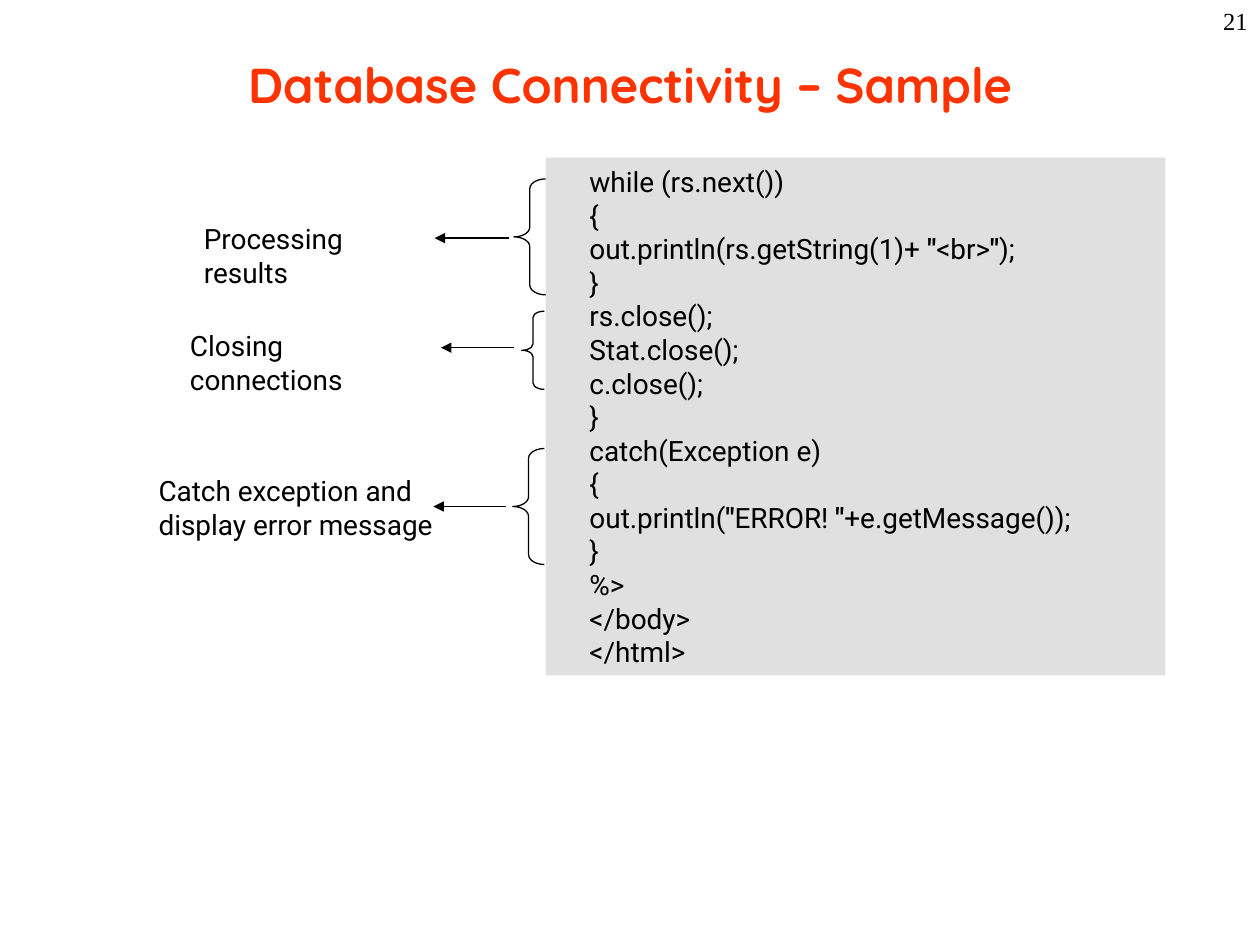
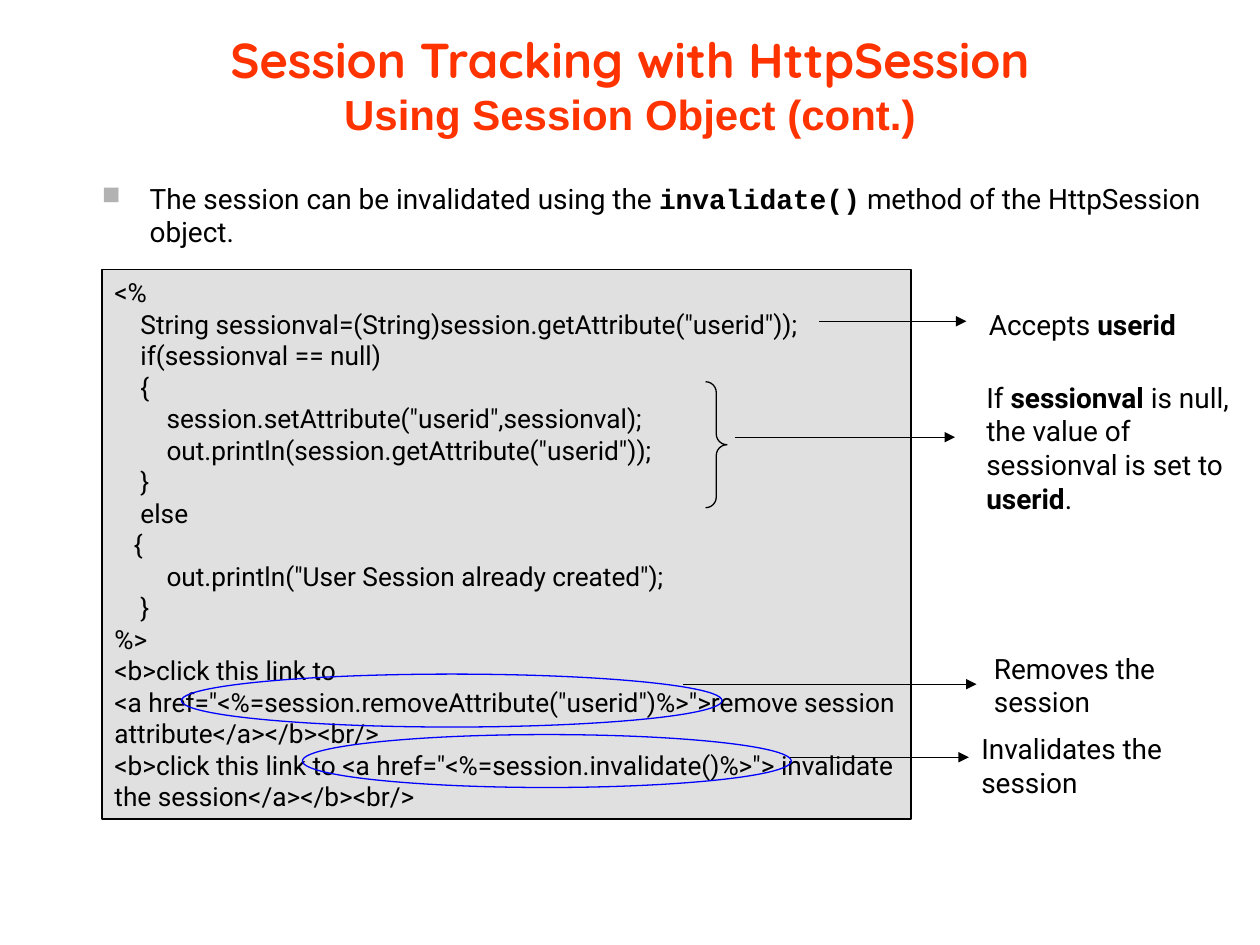
from lxml.etree import SubElement
from pptx import Presentation
from pptx.dml.color import RGBColor
from pptx.enum.shapes import MSO_CONNECTOR, MSO_SHAPE
from pptx.enum.text import MSO_ANCHOR, MSO_AUTO_SIZE, PP_ALIGN
from pptx.oxml.ns import qn
from pptx.util import Inches, Pt

TITLE_COLOR = "FF3300"
TEXT_COLOR = "000000"
CODE_FILL = "E0E0E0"
ELLIPSE_COLOR = "0000FF"
BULLET_COLOR = "B2B2B2"
BODY_FONT = "Roboto"


def color(hex_string):
    return RGBColor.from_string(hex_string)


def write_lines(text_frame, lines, size=16, font=BODY_FONT):
    text_frame.word_wrap = True
    for index, line in enumerate(lines):
        paragraph = text_frame.add_paragraph() if index else text_frame.paragraphs[0]
        paragraph.alignment = PP_ALIGN.LEFT
        paragraph.font.size = Pt(size)
        paragraph.font.name = font
        paragraph.font.color.rgb = color(TEXT_COLOR)
        for position, part in enumerate(line.split("**")):
            if part:
                run = paragraph.add_run()
                run.text = part
                if position % 2:
                    run.font.bold = True


presentation = Presentation()
presentation.slide_width = Inches(10)
presentation.slide_height = Inches(7.5)

database_code = """while (rs.next())
{
out.println(rs.getString(1)+** "**<br>**"**);
}
rs.close();
Stat.close();
c.close();
}
catch(Exception e)
{
out.println(**"**ERROR! **"**+e.getMessage());
}
%>
</body>
</html>"""

session_code = """<%
    String sessionval=(String)session.getAttribute("userid"));
    if(sessionval == null)
    {
        session.setAttribute("userid",sessionval);
        out.println(session.getAttribute("userid"));
    }
    else
   {
        out.println("User Session already created");
    }
%>
<b>click this link to
<a href="<%=session.removeAttribute("userid")%>">remove session attribute</a></b><br/>
<b>click this link to <a href="<%=session.invalidate()%>"> invalidate the session</a></b><br/>"""

slide_contents = [
    {
        "title": [("Database Connectivity – Sample", "Quicksand", 28)],
        "code": (database_code, 16, (4.33, 1.25, 4.92, 4.11)),
        "marks": [
            (MSO_SHAPE.LEFT_BRACE, (4.08, 1.42, 0.25, 0.92), 0.31),
            (MSO_SHAPE.LEFT_BRACE, (4.14, 2.47, 0.18, 0.62), 0.28),
            (MSO_SHAPE.LEFT_BRACE, (4.07, 3.56, 0.25, 0.92), 0.31),
        ],
        "arrows": [(4.04, 3.45, 1.89), (4.08, 3.5, 2.76), (4.02, 3.44, 4.02)],
        "labels": [
            ("Processing results", (1.52, 1.71, 2, 0.37)),
            ("Closing connections", (1.41, 2.56, 2.17, 0.37)),
            ("Catch exception and display error message", (1.16, 3.71, 2.58, 0.64)),
        ],
    },
    {
        "title": [
            ("Session Tracking with HttpSession", "Quicksand", 28),
            ("Using Session Object (cont.)", "Arial", 24),
        ],
        "code": (session_code, 15, (0.81, 2.14, 6.42, 4.36)),
        "marks": [
            (MSO_SHAPE.RIGHT_BRACE, (5.6, 3.03, 0.17, 1), 0.5),
            (MSO_SHAPE.OVAL, (1.44, 5.35, 4.29, 0.42), None),
            (MSO_SHAPE.OVAL, (2.4, 5.83, 3.88, 0.42), None),
        ],
        "arrows": [(6.5, 7.67, 2.55), (5.83, 7.58, 3.47), (5.42, 7.75, 5.43), (6.27, 7.69, 6.01)],
        "labels": [
            ("Accepts **userid**", (7.75, 2.39, 1.92, 0.4)),
            ("If **sessionval** is null, the value of sessionval is set to **userid**.",
             (7.73, 2.97, 2.27, 1.3)),
            ("Removes the session", (7.79, 5.12, 2.25, 0.7)),
            ("Invalidates the session", (7.69, 5.76, 2.25, 0.7)),
        ],
    },
]

slides = []
for content in slide_contents:
    slide = presentation.slides.add_slide(presentation.slide_layouts[5])
    slides.append(slide)

    title = slide.shapes.title
    title.left, title.top = Inches(0.75), Inches(0.08)
    title.width, title.height = Inches(8.5), Inches(1.17)
    title.text_frame.auto_size = MSO_AUTO_SIZE.NONE
    title.text_frame.vertical_anchor = MSO_ANCHOR.MIDDLE
    paragraph = title.text_frame.paragraphs[0]
    paragraph.alignment = PP_ALIGN.CENTER
    paragraph.font.bold = True
    paragraph.font.color.rgb = color(TITLE_COLOR)
    for index, (text, font, size) in enumerate(content["title"]):
        if index:
            paragraph.add_line_break()
        run = paragraph.add_run()
        run.text = text
        run.font.name = font
        run.font.size = Pt(size)

    code, code_size, box = content["code"]
    code_box = slide.shapes.add_shape(MSO_SHAPE.RECTANGLE, *map(Inches, box))
    code_box.shadow.inherit = False
    code_box.fill.solid()
    code_box.fill.fore_color.rgb = color(CODE_FILL)
    code_box.line.fill.background()
    code_box.text_frame.vertical_anchor = MSO_ANCHOR.MIDDLE
    write_lines(code_box.text_frame, code.split("\n"), code_size)
    content["code_box"] = code_box

    for kind, box, curve in content["marks"]:
        mark = slide.shapes.add_shape(kind, *map(Inches, box))
        mark.shadow.inherit = False
        mark.fill.background()
        mark.line.width = Pt(0.75)
        mark.line.color.rgb = color(ELLIPSE_COLOR if curve is None else TEXT_COLOR)
        if curve is not None:
            mark.adjustments[0] = curve

    for start, end, height in content["arrows"]:
        arrow = slide.shapes.add_connector(
            MSO_CONNECTOR.STRAIGHT, Inches(start), Inches(height), Inches(end), Inches(height))
        arrow.line.width = Pt(0.75)
        arrow.line.color.rgb = color(TEXT_COLOR)
        properties = arrow._element.spPr
        SubElement(properties.find(qn("a:ln")), qn("a:tailEnd"), type="triangle")
        SubElement(properties, qn("a:effectLst"))

    for text, box in content["labels"]:
        label = slide.shapes.add_textbox(*map(Inches, box))
        write_lines(label.text_frame, [text])

database_slide, session_slide = slides

for paragraph in slide_contents[0]["code_box"].text_frame.paragraphs:
    paragraph._p.get_or_add_pPr().set("indent", str(Inches(0.25)))

page_number = database_slide.shapes.add_textbox(Inches(7.92), 0, Inches(2.08), Inches(0.5))
write_lines(page_number.text_frame, ["21"], 14, "Times New Roman")
page_number.text_frame.paragraphs[0].alignment = PP_ALIGN.RIGHT

session_box = slide_contents[1]["code_box"]
session_box.line.width = Pt(0.75)
session_box.line.color.rgb = color(TEXT_COLOR)

statement = session_slide.shapes.add_textbox(Inches(0.71), Inches(1.39), Inches(9.42), Inches(0.7))
paragraph = statement.text_frame.paragraphs[0]
bullet = paragraph._p.get_or_add_pPr()
bullet.set("marL", str(Inches(0.38)))
bullet.set("indent", str(-Inches(0.38)))
SubElement(SubElement(bullet, qn("a:buClr")), qn("a:srgbClr"), val=BULLET_COLOR)
SubElement(bullet, qn("a:buSzPct"), val="90000")
SubElement(bullet, qn("a:buChar"), char="■")
write_lines(
    statement.text_frame,
    ["The session can be invalidated using the **invalidate()** method of the HttpSession object."])
paragraph.runs[1].font.name = "Courier New"

presentation.save("out.pptx")
